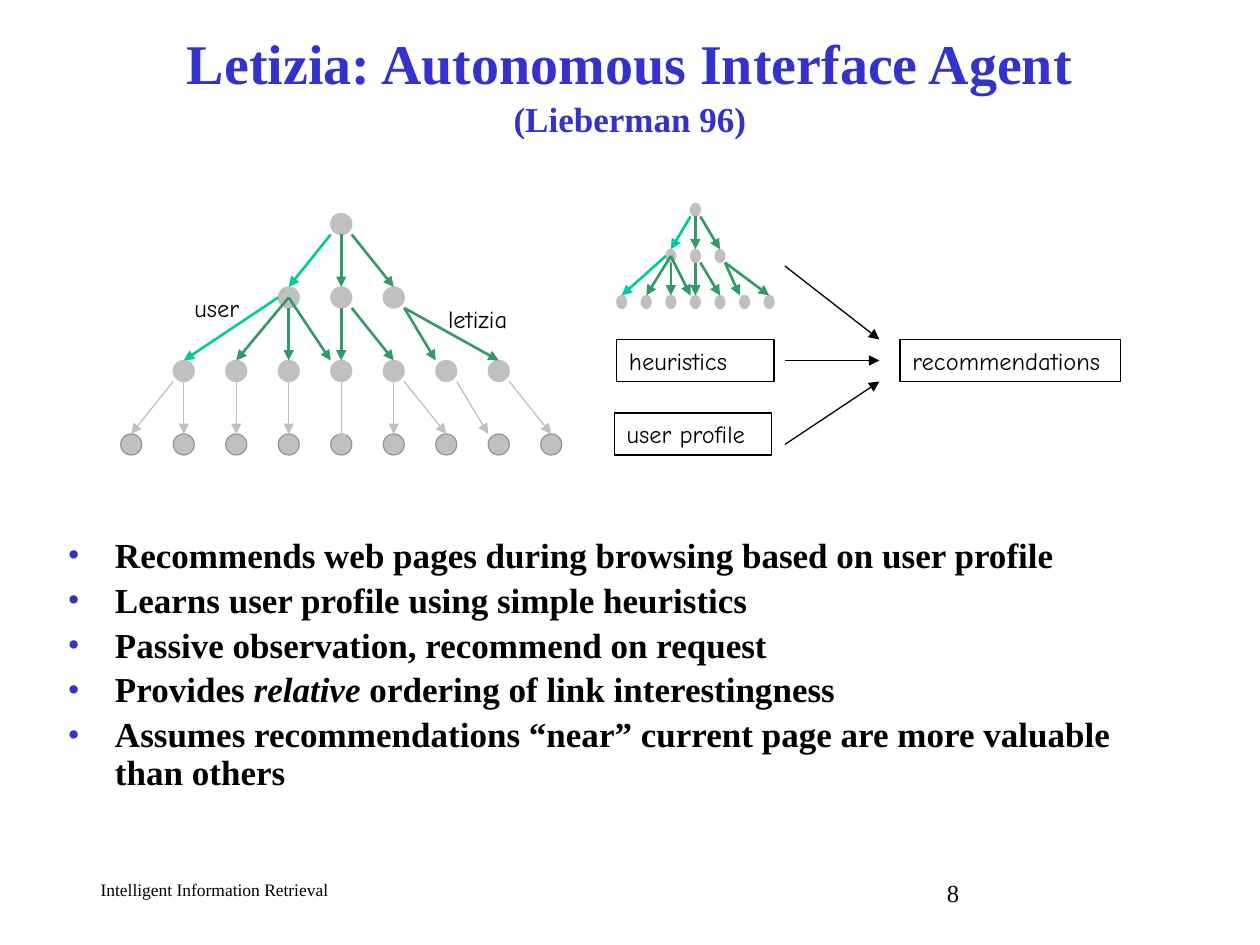
from lxml import etree
from pptx import Presentation
from pptx.dml.color import RGBColor
from pptx.enum.shapes import MSO_CONNECTOR, MSO_SHAPE
from pptx.enum.text import MSO_ANCHOR, MSO_AUTO_SIZE, PP_ALIGN
from pptx.oxml.ns import qn
from pptx.util import Pt

LINE, OVAL, RECT = MSO_CONNECTOR.STRAIGHT, MSO_SHAPE.OVAL, MSO_SHAPE.RECTANGLE
MIDDLE, TOP = MSO_ANCHOR.MIDDLE, MSO_ANCHOR.TOP
LEFT, CENTER = PP_ALIGN.LEFT, PP_ALIGN.CENTER
NO_FIT = MSO_AUTO_SIZE.NONE
hue = RGBColor.from_string
BLACK, BLUE, GRAY, RIM = "000000", "3333CC", "C0C0C0", "969696"
MINT, GREEN = "00CC99", "339966"
SERIF, COMIC = "Times New Roman", "Comic Neue"


def style(font, name, size, color=BLACK, bold=False):
    font.name, font.size, font.bold = name, Pt(size), bold
    font.color.rgb = hue(color)


def arrow(host, ends, color, width):
    link = host.add_connector(LINE, *[Pt(v) for v in ends])
    link.line.color.rgb = hue(color)
    link.line.width = Pt(width)
    etree.SubElement(link.line._get_or_add_ln(), qn("a:tailEnd"), type="triangle")
    etree.SubElement(link._element.spPr, qn("a:effectLst"))


prs = Presentation()
prs.slide_width, prs.slide_height = Pt(720), Pt(540)
slide = prs.slides.add_slide(prs.slide_layouts[1])
shapes = slide.shapes

# Title
title = shapes.title
title.left, title.top, title.width, title.height = Pt(54), Pt(18.7), Pt(612), Pt(54.7)
frame = title.text_frame
frame.auto_size, frame.vertical_anchor = NO_FIT, MIDDLE
para = frame.paragraphs[0]
para.alignment = CENTER
for text, size in [("Letizia: Autonomous Interface Agent", 32), (" ", 36),
                   ("(Lieberman 96)", 20)]:
    run = para.add_run()
    run.text = text
    style(run.font, SERIF, size, BLUE, True)

# Bullet list: each item is a list of runs, every second one in italics
items = [
    ["Recommends web pages during browsing based on user profile"],
    ["Learns user profile using simple heuristics"],
    ["Passive observation, recommend on request"],
    ["Provides ", "relative", " ordering of link interestingness"],
    ["Assumes recommendations “near” current page are more valuable than others"],
]
body = slide.placeholders[1]
body.left, body.top, body.width, body.height = Pt(31.5), Pt(304), Pt(644), Pt(168)
frame = body.text_frame
frame.auto_size, frame.vertical_anchor = NO_FIT, TOP
for i, item in enumerate(items):
    para = frame.add_paragraph() if i else frame.paragraphs[0]
    props = para._p.get_or_add_pPr()
    props.set("marL", str(Pt(27)))
    props.set("indent", str(Pt(-27)))
    tint = etree.SubElement(props, qn("a:buClr"))
    etree.SubElement(tint, qn("a:srgbClr"), val=BLUE)
    etree.SubElement(props, qn("a:buFont"), typeface=SERIF)
    etree.SubElement(props, qn("a:buChar"), char="•")
    para.line_spacing = 0.9
    para.space_before = Pt(4 if i else 0)
    style(para.font, SERIF, 20, BLACK, True)
    for j, text in enumerate(item):
        run = para.add_run()
        run.text = text
        if j % 2:
            run.font.italic = True

# Trees, in grid units from the top centre of the root:
# a dot is 2 by 2, columns are 5 apart and levels 7 apart
reach = [0, 1, 3, 4]
edges = [
    [(-1, 2, -5, 7, MINT), (0, 2, 0, 7, GREEN), (1, 2, 5, 7, GREEN)],
    [(0, 9, 0, 14, GREEN), (1, 9, 5, 14, GREEN), (-6, 8, -15, 14, MINT),
     (-5, 8, -10, 14, GREEN), (6, 9, 15, 14, GREEN), (6, 9, 9, 14, GREEN),
     (-5, 9, -5, 14, GREEN), (-5, 8, -1, 14, GREEN)],
    [(0, 16, 0, 22, GRAY), (-16, 16, -20, 21, GRAY), (6, 16, 10, 21, GRAY),
     (11, 16, 14, 21, GRAY), (16, 16, 20, 21, GRAY)]
    + [(x, 16, x, 21, GRAY) for x in (-15, -10, -5, 5)],
]
mini = shapes.add_group_shape().shapes
for host, left, top, dx, dy, depth in [(shapes, 195, 122, 6, 6, 4),
                                       (mini, 397.4, 116.2, 2.81, 3.76, 3)]:
    for level in range(depth):
        for col in range(-reach[level], reach[level] + 1):
            dot = host.add_shape(OVAL, Pt(left + (5 * col - 1) * dx),
                                 Pt(top + 7 * level * dy), Pt(2 * dx), Pt(2 * dy))
            dot.shadow.inherit = False
            dot.fill.solid()
            dot.fill.fore_color.rgb = hue(GRAY)
            dot.line.color.rgb = hue(RIM if level == 3 else GRAY)
            dot.line.width = Pt(0.75)
    for group in edges[:depth - 1]:
        for x1, y1, x2, y2, color in group:
            ends = (left + x1 * dx, top + y1 * dy, left + x2 * dx, top + y2 * dy)
            arrow(host, ends, color, 0.75 if color == GRAY else 1.5)

# Flow into the recommendations
for y1, y2 in [(152, 194), (206, 206), (254, 218)]:
    arrow(shapes, (448.5, y1, 502.5, y2), BLACK, 0.75)
for text, x, y, width in [("user profile", 351, 236, 90), ("heuristics", 352.3, 194, 90),
                          ("recommendations", 514.3, 194, 126)]:
    box = shapes.add_shape(RECT, Pt(x), Pt(y), Pt(width), Pt(24))
    box.shadow.inherit = False
    box.fill.background()
    box.line.color.rgb = hue(BLACK)
    box.line.width = Pt(0.75)
    frame = box.text_frame
    frame.word_wrap, frame.vertical_anchor = False, MIDDLE
    para = frame.paragraphs[0]
    para.text, para.alignment = text, LEFT
    style(para.font, COMIC, 14)

# Tree labels and footer
for text, x, y, width, height, name, size in [
        ("user", 104, 164, 43, 24, COMIC, 14),
        ("letizia", 249, 170, 55, 24, COMIC, 14),
        ("Intelligent Information Retrieval", 50.4, 499, 270, 18, SERIF, 10),
        ("8", 534, 498, 150, 18, SERIF, 14)]:
    label = shapes.add_textbox(Pt(x), Pt(y), Pt(width), Pt(height))
    label.text_frame.word_wrap = False
    para = label.text_frame.paragraphs[0]
    para.text, para.alignment = text, LEFT
    style(para.font, name, size)

prs.save("out.pptx")
